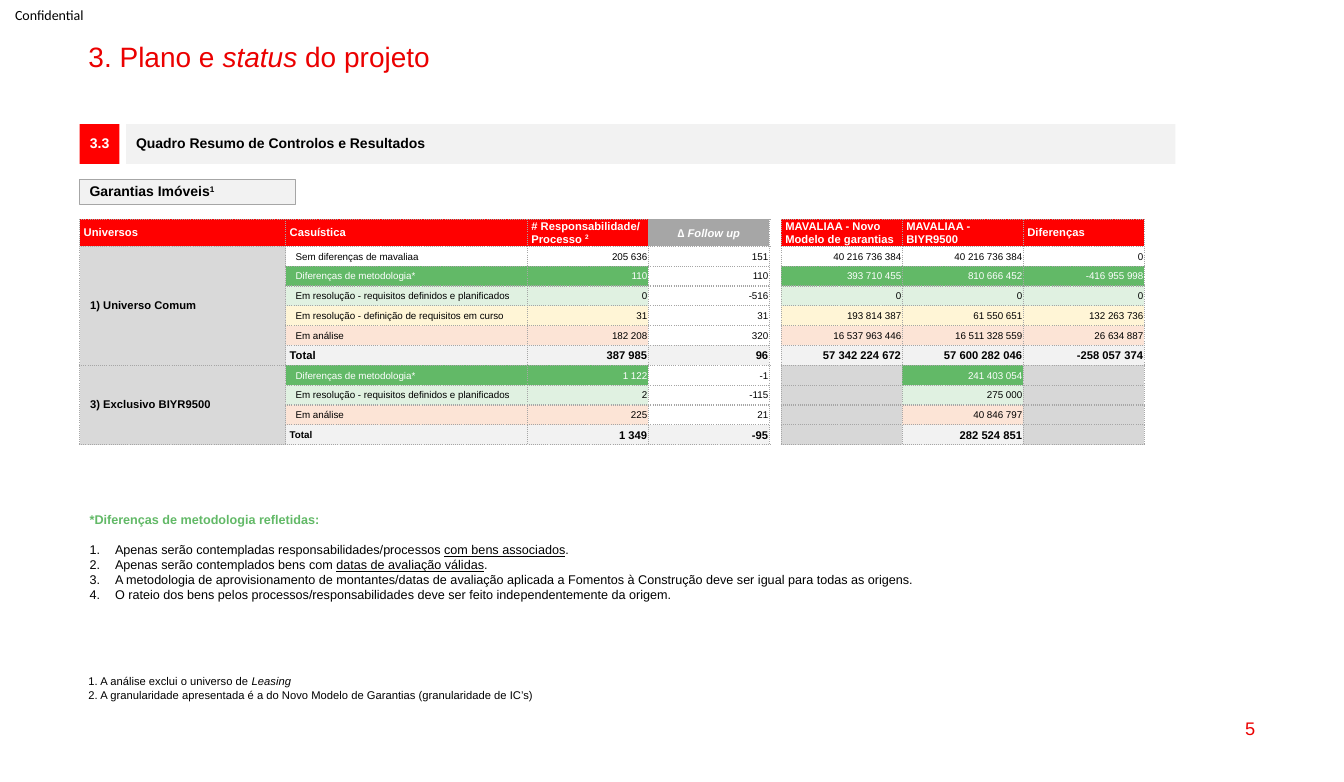
from dataclasses import dataclass
from typing import NamedTuple, Optional

from lxml.etree import SubElement
from pptx import Presentation
from pptx.dml.color import RGBColor
from pptx.enum.shapes import MSO_SHAPE as Shape
from pptx.enum.text import MSO_ANCHOR as Anchor, PP_ALIGN as Align
from pptx.oxml.ns import qn
from pptx.util import Cm, Pt


@dataclass(frozen=True)
class Theme:
    font: str = "Arial"
    label_font: str = "Calibri"
    title_red: str = "EB0000"
    red: str = "FF0000"
    black: str = "000000"
    white: str = "FFFFFF"
    pale: str = "F2F2F2"
    grey: str = "A6A6A6"
    group: str = "D9D9D9"
    blocked: str = "D7D7D7"
    green: str = "62B967"
    mint: str = "E0F1E1"
    yellow: str = "FFF5D6"
    peach: str = "FCE4D6"
    title_size: float = 20
    page_size: float = 13
    heading_size: float = 10
    list_size: float = 9
    strong_size: float = 8
    cell_size: float = 7


T = Theme()


class Run(NamedTuple):
    text: str
    italic: bool = False
    underline: bool = False
    superscript: bool = False


class Box(NamedTuple):
    left: float
    top: float
    width: float
    height: float


class Margins(NamedTuple):
    left: float = 0.25
    top: float = 0.13
    right: float = 0.25
    bottom: float = 0.13


@dataclass(frozen=True)
class Row:
    label: str
    values: tuple[Optional[str], ...]
    fill: Optional[str] = None
    color: str = T.black
    total: bool = False
    label_size: float = T.cell_size


@dataclass(frozen=True)
class Universe:
    name: str
    rows: tuple[Row, ...]


HEAD = Margins(0.1, 0, 0.1, 0)
GROUP = Margins(0.26, 0, 0.1, 0)
ITEM = Margins(0.25, 0.02, 0.03, 0)
VALUE = Margins(0.03, 0.02, 0.03, 0)

COLUMNS = (5.19, 6.09, 3.05, 3.05, 0.3, 3.05, 3.05, 3.05)
GAP_COL, FOLLOW_COL = 4, 3
VALUE_COLS = (2, 3, 5, 6, 7)
HEADERS = {
    0: ["Universos"],
    1: ["Casuística"],
    2: ["# Responsabilidade/", [Run("Processo "), Run("2", superscript=True)]],
    FOLLOW_COL: [[Run("∆ Follow up", italic=True)]],
    5: ["MAVALIAA - Novo Modelo de garantias"],
    6: ["MAVALIAA - BIYR9500"],
    7: ["Diferenças"],
}
METHOD = "Diferenças de metodologia*"
PLANNED = "Em resolução - requisitos definidos e planificados"
UNIVERSES = (
    Universe("1) Universo Comum", (
        Row("Sem diferenças de mavaliaa",
            ("205 636", "151", "40 216 736 384", "40 216 736 384", "0")),
        Row(METHOD, ("110", "110", "393 710 455", "810 666 452", "-416 955 998"), T.green, T.white),
        Row(PLANNED, ("0", "-516", "0", "0", "0"), T.mint),
        Row("Em resolução - definição de requisitos em curso",
            ("31", "31", "193 814 387", "61 550 651", "132 263 736"), T.yellow),
        Row("Em análise",
            ("182 208", "320", "16 537 963 446", "16 511 328 559", "26 634 887"), T.peach),
        Row("Total", ("387 985", "96", "57 342 224 672", "57 600 282 046", "-258 057 374"),
            T.pale, total=True, label_size=T.strong_size),
    )),
    Universe("3) Exclusivo BIYR9500", (
        Row(METHOD, ("1 122", "-1", None, "241 403 054", None), T.green, T.white),
        Row(PLANNED, ("2", "-115", None, "275 000", None), T.mint),
        Row("Em análise", ("225", "21", None, "40 846 797", None), T.peach),
        Row("Total", ("1 349", "-95", None, "282 524 851", None), T.pale, total=True),
    )),
)


def write(p, content, *, size: float, color: str = T.black, bold: bool = False,
          font: str = T.font, align=Align.LEFT, spacing: Optional[float] = None) -> None:
    """Fill a paragraph with a string or a list of runs."""
    p.alignment = align
    if spacing:
        p.line_spacing = spacing
    for part in [Run(content)] if isinstance(content, str) else content:
        r = p.add_run()
        r.text = part.text
        f = r.font
        f.name, f.size, f.bold = font, Pt(size), bold
        f.italic, f.underline = part.italic, part.underline
        f.color.rgb = RGBColor.from_string(color)
        if part.superscript:
            r._r.get_or_add_rPr().set("baseline", "30000")


def write_all(tf, paragraphs, **fmt) -> None:
    for i, content in enumerate(paragraphs):
        write(tf.add_paragraph() if i else tf.paragraphs[0], content, **fmt)


def set_margins(target, margins: Margins) -> None:
    target.margin_left, target.margin_top, target.margin_right, target.margin_bottom = map(Cm, margins)


def add_text(slide, box: Box, paragraphs, anchor=Anchor.TOP, margins=Margins(), **fmt):
    tf = slide.shapes.add_textbox(*map(Cm, box)).text_frame
    tf.word_wrap, tf.vertical_anchor = True, anchor
    set_margins(tf, margins)
    write_all(tf, paragraphs, **fmt)
    return tf


def add_bar(slide, box: Box, content, fill: str, line: Optional[str] = None, **fmt) -> None:
    sp = slide.shapes.add_shape(Shape.RECTANGLE, *map(Cm, box))
    sp.shadow.inherit = False
    sp.fill.solid()
    sp.fill.fore_color.rgb = RGBColor.from_string(fill)
    if line:
        sp.line.color.rgb = RGBColor.from_string(line)
        sp.line.width = Pt(0.75)
    else:
        sp.line.fill.background()
    tf = sp.text_frame
    tf.word_wrap, tf.vertical_anchor = True, Anchor.MIDDLE
    set_margins(tf, Margins())
    write_all(tf, [content], size=T.heading_size, bold=True, spacing=0.9, **fmt)


def style_cell(cell, fill: Optional[str], edges: str = "LRTB") -> None:
    """Set dotted borders, then the fill."""
    tc_pr = cell._tc.get_or_add_tcPr()
    for side in "LRTB":
        ln = SubElement(tc_pr, qn(f"a:ln{side}"), w=str(Pt(1)))
        if side in edges:
            SubElement(SubElement(ln, qn("a:solidFill")), qn("a:srgbClr"), val=T.grey)
            SubElement(ln, qn("a:prstDash"), val="sysDot")
        else:
            SubElement(ln, qn("a:noFill"))
    if fill:
        cell.fill.solid()
        cell.fill.fore_color.rgb = RGBColor.from_string(fill)
    else:
        cell.fill.background()


def fill_cell(cell, paragraphs, fill: Optional[str], margins: Margins, **fmt) -> None:
    style_cell(cell, fill)
    set_margins(cell, margins)
    cell.vertical_anchor = Anchor.MIDDLE
    write_all(cell.text_frame, paragraphs, **fmt)


def empty_cell(cell, fill: Optional[str], edges: str = "LRTB") -> None:
    style_cell(cell, fill, edges)
    set_margins(cell, VALUE)
    SubElement(cell.text_frame.paragraphs[0]._p, qn("a:endParaRPr"), sz=str(T.cell_size * 100))


def fill_row(table, i: int, row: Row) -> None:
    fill_cell(table.cell(i, 1), [row.label], row.fill, HEAD if row.total else ITEM,
              size=row.label_size, color=row.color, bold=row.total)
    for col, value in zip(VALUE_COLS, row.values):
        cell = table.cell(i, col)
        if value is None:
            empty_cell(cell, T.blocked)
            continue
        plain = col == FOLLOW_COL and not row.total
        fill_cell(cell, [value], None if plain else row.fill, VALUE,
                  size=T.strong_size if row.total else T.cell_size,
                  color=T.black if plain else row.color, bold=row.total, align=Align.RIGHT)


def add_summary(slide) -> None:
    heights = [0.67] + [0.5] * sum(len(u.rows) for u in UNIVERSES)
    box = Box(2.01, 5.53, sum(COLUMNS), sum(heights))
    table = slide.shapes.add_table(len(heights), len(COLUMNS), *map(Cm, box)).table
    table.first_row = table.horz_banding = False
    for column, width in zip(table.columns, COLUMNS):
        column.width = Cm(width)
    for i, height in enumerate(heights):
        table.rows[i].height = Cm(height)
        empty_cell(table.cell(i, GAP_COL), None, "LR")
    for col, paragraphs in HEADERS.items():
        follow = col == FOLLOW_COL
        fill_cell(table.cell(0, col), paragraphs, T.grey if follow else T.red,
                  VALUE if follow else HEAD, size=T.strong_size, color=T.white, bold=True,
                  align=Align.CENTER if follow else Align.LEFT)
    first = 1
    for universe in UNIVERSES:
        last = first + len(universe.rows) - 1
        table.cell(first, 0).merge(table.cell(last, 0))
        fill_cell(table.cell(first, 0), [universe.name], T.group, GROUP, size=T.strong_size, bold=True)
        for i, row in enumerate(universe.rows, first):
            if i > first:
                empty_cell(table.cell(i, 0), T.group)
            fill_row(table, i, row)
        first = last + 1


def add_methodology(slide) -> None:
    tf = add_text(slide, Box(2.01, 12.78, 26.8, 3.81), ["*Diferenças de metodologia refletidas:"],
                  size=T.list_size, color=T.green, bold=True)
    items = (
        [Run("Apenas serão contempladas responsabilidades/processos "),
         Run("com bens associados", underline=True), Run(".")],
        [Run("Apenas serão contemplados bens com "),
         Run("datas de avaliação válidas", underline=True), Run(".")],
        "A metodologia de aprovisionamento de montantes/datas de avaliação aplicada a "
        "Fomentos à Construção deve ser igual para todas as origens.",
        "O rateio dos bens pelos processos/responsabilidades deve ser feito "
        "independentemente da origem.",
    )
    for i, item in enumerate(items):
        p = tf.add_paragraph()
        p_pr = p._p.get_or_add_pPr()
        p_pr.set("marL", str(Cm(0.64)))
        p_pr.set("indent", str(-Cm(0.64)))
        SubElement(p_pr, qn("a:buFont"), typeface=T.font)
        SubElement(p_pr, qn("a:buAutoNum"), type="arabicPeriod")
        if i == 0:
            p.space_before = Pt(10.4)
        write(p, item, size=T.list_size)


def main() -> None:
    prs = Presentation()
    prs.slide_width, prs.slide_height = Cm(33.87), Cm(19.71)
    slide = prs.slides.add_slide(prs.slide_layouts[6])

    # Page label, title and number
    add_text(slide, Box(0, 0, 2.51, 0.74), ["Confidential"], Anchor.MIDDLE,
             Margins(0.38, 0, 0, 0), size=T.heading_size, font=T.label_font)
    add_text(slide, Box(1.98, 0.97, 29.9, 0.86),
             [[Run("3. Plano e "), Run("status", italic=True), Run(" do projeto")]],
             size=T.title_size, color=T.title_red, spacing=0.9)
    add_text(slide, Box(24.26, 17.83, 7.62, 1.04), ["5"], Anchor.MIDDLE,
             size=T.page_size, color=T.title_red, align=Align.RIGHT)

    # Section headings
    add_bar(slide, Box(2.01, 3.13, 1, 1), "3.3", T.red, color=T.white, align=Align.CENTER)
    add_bar(slide, Box(3.18, 3.13, 26.44, 1), "Quadro Resumo de Controlos e Resultados", T.pale)
    add_bar(slide, Box(2.01, 4.52, 5.44, 0.64),
            [Run("Garantias Imóveis"), Run("1", superscript=True)], T.pale, T.grey)

    # Results table, methodology list and footnotes
    add_summary(slide)
    add_methodology(slide)
    add_text(slide, Box(1.98, 16.87, 12.07, 0.94),
             [[Run("1. A análise exclui o universo de "), Run("Leasing", italic=True)],
              "2. A granularidade apresentada é a do Novo Modelo de Garantias (granularidade de IC’s)"],
             size=T.strong_size)
    prs.save("out.pptx")


if __name__ == "__main__":
    main()
